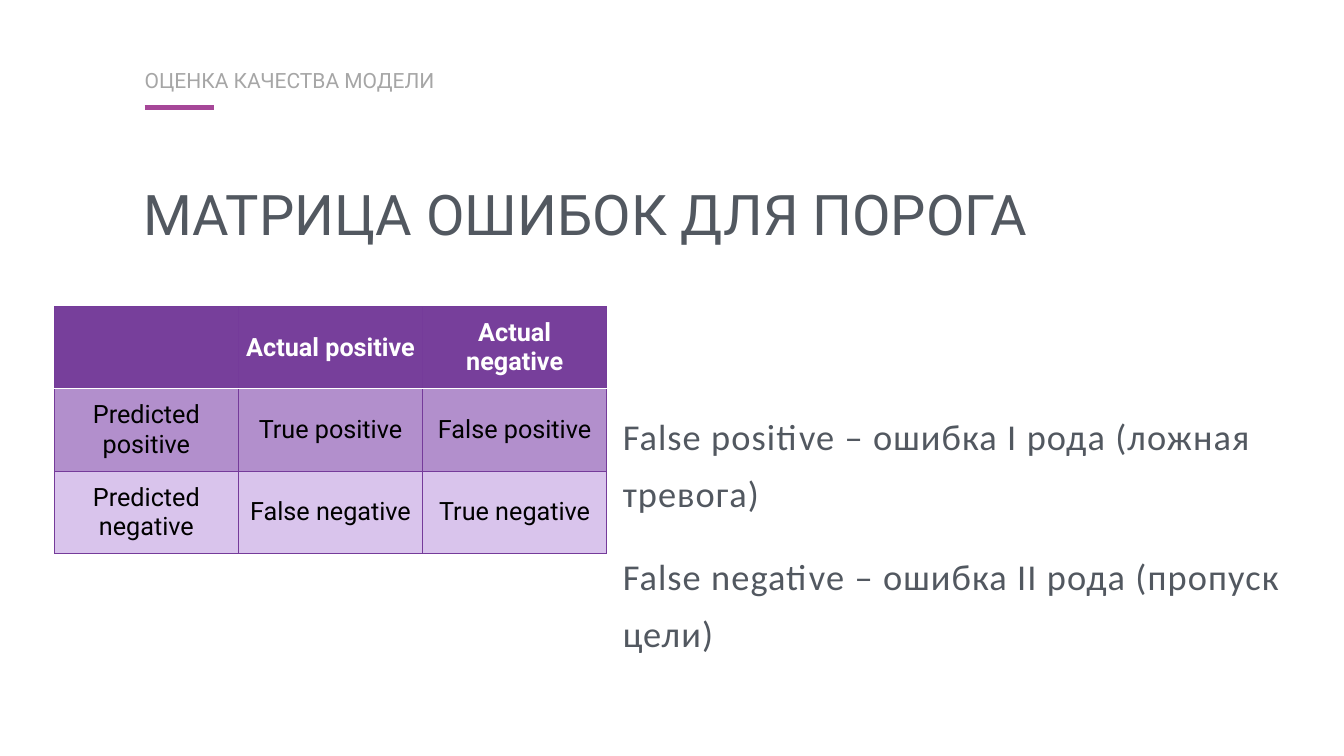
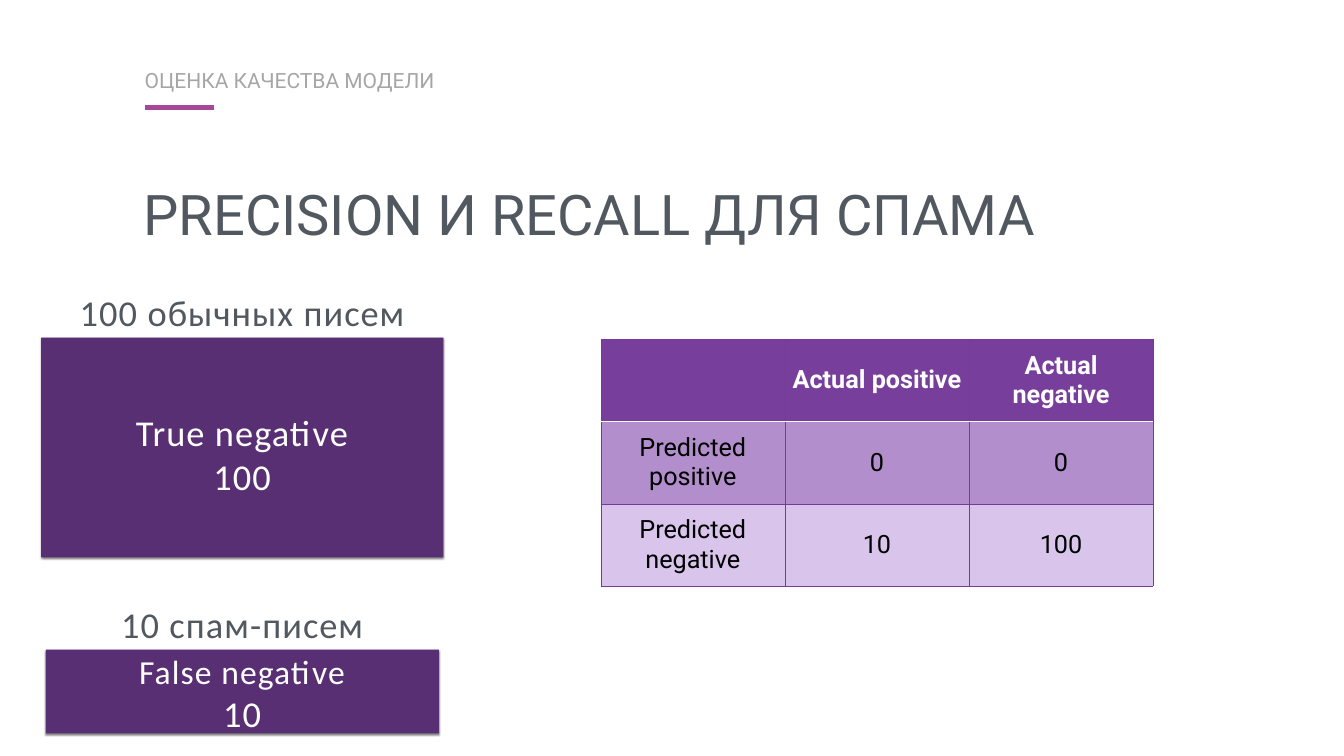
import pptx
import pptx.dml.color
import pptx.enum.shapes
import pptx.enum.text
import pptx.oxml.ns
import pptx.util
from lxml import etree
from pptx.dml.color import RGBColor
from pptx.util import Cm

# Colours and fonts shared by the slides
SLATE = RGBColor(0x52, 0x58, 0x60)
GREY = RGBColor(0xA6, 0xA6, 0xA6)
MAGENTA = RGBColor(0xA6, 0x47, 0x98)
PURPLE = RGBColor(0x77, 0x3F, 0x9B)
BORDER_PURPLE = RGBColor(0x75, 0x3B, 0x9A)
MID_PURPLE = RGBColor(0xB2, 0x8F, 0xCC)
LIGHT_PURPLE = RGBColor(0xD9, 0xC4, 0xEC)
DARK_PURPLE = RGBColor(0x59, 0x2F, 0x74)
WHITE = RGBColor(0xFF, 0xFF, 0xFF)
BLACK = RGBColor(0, 0, 0)
HEADING_FONT = "Roboto"
BODY_FONT = "Calibri"

SECTION = "ОЦЕНКА КАЧЕСТВА МОДЕЛИ"
BODY = dict(font=BODY_FONT, size=52, tracking=1.6, line_spacing=1.3, space_before=38)
CENTER = pptx.enum.text.PP_ALIGN.CENTER


def add_child(parent, tag, **attributes):
    child = etree.SubElement(parent, pptx.oxml.ns.qn(tag))
    for name, value in attributes.items():
        child.set(name, str(value))
    return child


def write_paragraph(paragraph, text, font=HEADING_FONT, size=36, color=SLATE, bold=False,
                    align=None, tracking=None, line_spacing=None, space_before=None):
    paragraph.alignment = align
    paragraph.line_spacing = line_spacing
    if space_before is not None:
        paragraph.space_before = pptx.util.Pt(space_before)
    run = paragraph.add_run()
    run.text = text
    run.font.name = font
    run.font.size = pptx.util.Pt(size)
    run.font.bold = bold
    run.font.color.rgb = color
    if tracking:
        run.font._element.set("spc", str(round(tracking * 100)))


def add_text(slide, left, top, width, height, *paragraphs, **style):
    """Each paragraph is a string or a pair of string and style overrides."""
    frame = slide.shapes.add_textbox(Cm(left), Cm(top), Cm(width), Cm(height)).text_frame
    frame.word_wrap = True
    frame.auto_size = pptx.enum.text.MSO_AUTO_SIZE.SHAPE_TO_FIT_TEXT
    frame.margin_left = frame.margin_right = Cm(0.15)
    frame.margin_top = frame.margin_bottom = Cm(0.15)
    for index, item in enumerate(paragraphs):
        text, overrides = (item, {}) if isinstance(item, str) else item
        paragraph = frame.add_paragraph() if index else frame.paragraphs[0]
        write_paragraph(paragraph, text, **{**style, **overrides})


def add_accent(slide):
    accent = slide.shapes.add_connector(pptx.enum.shapes.MSO_CONNECTOR.STRAIGHT,
                                        Cm(7.29), Cm(5.41), Cm(10.8), Cm(5.41))
    accent.line.color.rgb = MAGENTA
    accent.line.width = pptx.util.Pt(7)
    add_child(accent._element.spPr, "a:effectLst")


def add_titled_slide(deck, title):
    slide = deck.slides.add_slide(deck.slide_layouts[6])
    add_text(slide, 7.09, 7.9, 53.8, 4.34, title, size=80, line_spacing=1.3)
    add_accent(slide)
    add_text(slide, 7.14, 2.87, 53.8, 1.8, SECTION, size=30, color=GREY, line_spacing=1.3)
    return slide


def set_border(cell, side, color, points):
    edge = add_child(cell._tc.get_or_add_tcPr(), "a:ln" + side, w=pptx.util.Pt(points))
    add_child(add_child(edge, "a:solidFill"), "a:srgbClr", val=color)


def add_confusion_matrix(slide, left, top, positive_counts, negative_counts):
    rows = [
        ("", "Actual positive", "Actual negative"),
        ("Predicted positive", *positive_counts),
        ("Predicted negative", *negative_counts),
    ]
    column_width, row_height = 9.28, 4.15
    matrix = slide.shapes.add_table(3, 3, Cm(left), Cm(top),
                                    Cm(3 * column_width), Cm(3 * row_height)).table
    for column in matrix.columns:
        column.width = Cm(column_width)
    for row_index, (texts, fill) in enumerate(zip(rows, (PURPLE, MID_PURPLE, LIGHT_PURPLE))):
        matrix.rows[row_index].height = Cm(row_height)
        is_header = row_index == 0
        # A white rule separates the header from the counts
        white_side = {0: "B", 1: "T"}.get(row_index)
        for column_index, text in enumerate(texts):
            cell = matrix.cell(row_index, column_index)
            for side in "LRTB":
                rule = (WHITE, 2) if side == white_side else (BORDER_PURPLE, 0.75)
                set_border(cell, side, *rule)
            cell.fill.solid()
            cell.fill.fore_color.rgb = fill
            cell.vertical_anchor = pptx.enum.text.MSO_ANCHOR.MIDDLE
            if text:
                write_paragraph(cell.text_frame.paragraphs[0], text, align=CENTER,
                                color=WHITE if is_header else BLACK, bold=is_header)


def add_mail_block(slide, left, top, width, height):
    block = slide.shapes.add_shape(pptx.enum.shapes.MSO_SHAPE.RECTANGLE,
                                   Cm(left), Cm(top), Cm(width), Cm(height))
    block.fill.solid()
    block.fill.fore_color.rgb = DARK_PURPLE
    block.line.fill.background()
    block.shadow.inherit = False
    effects = block._element.spPr.find(pptx.oxml.ns.qn("a:effectLst"))
    shadow = add_child(effects, "a:outerShdw", blurRad=pptx.util.Pt(3), dist=pptx.util.Pt(2),
                       dir=90 * 60000, rotWithShape=0)
    add_child(add_child(shadow, "a:srgbClr", val=BLACK), "a:alpha", val=50000)


def add_caption(slide, top, text):
    add_text(slide, 2.08, top, 20.27, 2.87, text, align=CENTER, **BODY)


def build_error_matrix(deck):
    slide = add_titled_slide(deck, "МАТРИЦА ОШИБОК ДЛЯ ПОРОГА")
    add_confusion_matrix(slide, 2.74, 15.44, ("True positive", "False positive"),
                         ("False negative", "True negative"))
    add_text(slide, 31.24, 20.07, 35.99, 7.42,
             "False positive – ошибка I рода (ложная тревога)",
             "False negative – ошибка II рода (пропуск цели)", **BODY)


def build_spam_example(deck):
    slide = add_titled_slide(deck, "PRECISION И RECALL ДЛЯ СПАМА")
    add_confusion_matrix(slide, 30.28, 17.09, ("0", "0"), ("10", "100"))

    # Mail groups with their captions
    add_mail_block(slide, 2.08, 17.02, 20.27, 11.07)
    add_caption(slide, 13.79, "100 обычных писем")
    add_mail_block(slide, 2.31, 32.74, 19.81, 4.22)
    add_caption(slide, 29.54, "10 спам-писем")

    # Outcomes and counts on the blocks
    outcome = dict(BODY, color=WHITE, align=CENTER, line_spacing=None)
    count = dict(space_before=None)
    add_text(slide, 6.02, 19.86, 12.37, 5.38,
             ("True negative", dict(line_spacing=1.3)), ("100", count), **outcome)
    add_text(slide, 6.02, 32.64, 12.37, 4.72,
             ("False negative", dict(size=48)), ("10", count), **outcome)


def main():
    deck = pptx.Presentation()
    deck.slide_width = Cm(67.74)
    deck.slide_height = Cm(38.1)
    build_error_matrix(deck)
    build_spam_example(deck)
    deck.save("out.pptx")


if __name__ == "__main__":
    main()
